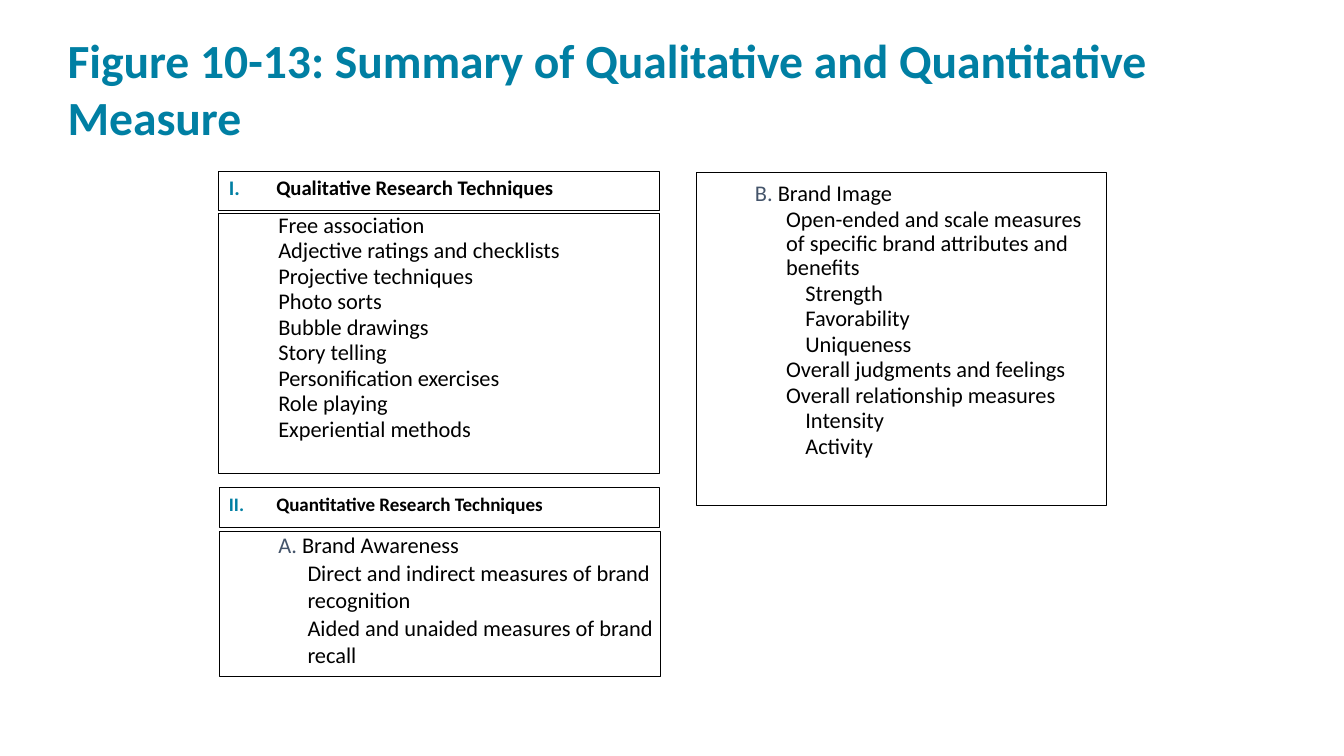
from lxml.etree import SubElement
from pptx import Presentation
from pptx.dml.color import RGBColor
from pptx.enum.text import MSO_ANCHOR, MSO_AUTO_SIZE, PP_ALIGN
from pptx.oxml.ns import qn
from pptx.util import Inches, Pt

INK = {"title": "007FA3", "text": "000000", "tag": "44546A", "line": "000000"}


def place(shape, box, inset, anchor):
    shape.left, shape.top, shape.width, shape.height = map(Inches, box)
    frame = shape.text_frame
    frame.word_wrap = True
    frame.auto_size = MSO_AUTO_SIZE.NONE
    frame.vertical_anchor = anchor
    frame.margin_left = frame.margin_right = Inches(inset)
    frame.margin_top = frame.margin_bottom = Inches(inset)
    return frame


def add_run(para, text, size, color, bold=False):
    run = para.add_run()
    run.text = text
    font = run.font
    font.name = "Calibri"
    font.size = Pt(size)
    font.bold = bold
    font.color.rgb = RGBColor.from_string(INK[color])


deck = Presentation()
deck.slide_width = Inches(13.33)
deck.slide_height = Inches(7.5)
slide = deck.slides.add_slide(deck.slide_layouts[4])
holders = slide.placeholders

frame = place(slide.shapes.title, (0.67, 0.24, 12, 1.2), 0, MSO_ANCHOR.BOTTOM)
para = frame.paragraphs[0]
para.alignment = PP_ALIGN.LEFT
add_run(para, "Figure 10-13: Summary of Qualitative and Quantitative Measure",
        34, "title", True)

heads = [
    (holders[1], 1.7, 0.39, 0.75, 0.7, 14.8, "Qualitative Research Techniques"),
    (holders[3], 4.83, 0.4, 0.25, 0.8, 13.6, "Quantitative Research Techniques"),
]
for start, (shape, top, height, line, space, size, text) in enumerate(heads, 1):
    frame = place(shape, (2.17, top, 4.37, height), 0.1, MSO_ANCHOR.TOP)
    shape.line.color.rgb = RGBColor.from_string(INK["line"])
    shape.line.width = Pt(line)
    para = frame.paragraphs[0]
    props = para._p.get_or_add_pPr()
    props.set("marL", str(Inches(0.47)))
    props.set("indent", str(Inches(-0.47)))
    tint = SubElement(props, qn("a:buClr"))
    SubElement(tint, qn("a:srgbClr"), val=INK["title"])
    SubElement(props, qn("a:buFont"), typeface="Calibri")
    SubElement(props, qn("a:buAutoNum"), type="romanUcPeriod", startAt=str(start))
    para.line_spacing = space
    para.space_before = Pt(0)
    add_run(para, text, size, "text", True)

methods = [
    (1, "", "Free association"),
    (1, "", "Adjective ratings and checklists"),
    (1, "", "Projective techniques"),
    (1, "", "Photo sorts"),
    (1, "", "Bubble drawings"),
    (1, "", "Story telling"),
    (1, "", "Personification exercises"),
    (1, "", "Role playing"),
    (1, "", "Experiential methods"),
]
aware = [
    (1, "A.", " Brand Awareness"),
    (2, "", "Direct and indirect measures of brand recognition"),
    (2, "", "Aided and unaided measures of brand recall"),
]
image = [
    (1, "B.", " Brand Image"),
    (2, "", "Open-ended and scale measures of specific brand attributes and benefits"),
    (3, "", "Strength"),
    (3, "", "Favorability"),
    (3, "", "Uniqueness"),
    (2, "", "Overall judgments and feelings"),
    (2, "", "Overall relationship measures"),
    (3, "", "Intensity"),
    (3, "", "Activity"),
]
left = {1: (0.59, 0), 2: (0.88, 0)}
right = {1: (0.85, -0.37), 2: (0.79, 0), 3: (0.98, 0)}
panel = slide.shapes.add_textbox(0, 0, 0, 0)
lists = [
    (holders[2], (2.17, 2.12, 4.37, 2.58), 0, 0.75, 0.9, left, methods),
    (holders[4], (2.17, 5.27, 4.38, 1.44), 0, 0.25, 1.0, left, aware),
    (panel, (6.91, 1.71, 4.07, 3.31), 0.1, 0.75, 0.9, right, image),
]
for shape, box, inset, line, space, dents, items in lists:
    frame = place(shape, box, inset, MSO_ANCHOR.TOP)
    shape.line.color.rgb = RGBColor.from_string(INK["line"])
    shape.line.width = Pt(line)
    for row, (level, tag, text) in enumerate(items):
        para = frame.add_paragraph() if row else frame.paragraphs[0]
        para.level = level
        margin, dent = dents[level]
        props = para._p.get_or_add_pPr()
        props.set("marL", str(Inches(margin)))
        props.set("indent", str(Inches(dent)))
        SubElement(props, qn("a:buNone"))
        para.line_spacing = space
        para.space_before = Pt(1 if row else 0)
        if tag:
            add_run(para, tag, 16, "tag")
        add_run(para, text, 16, "text")

deck.save("out.pptx")
